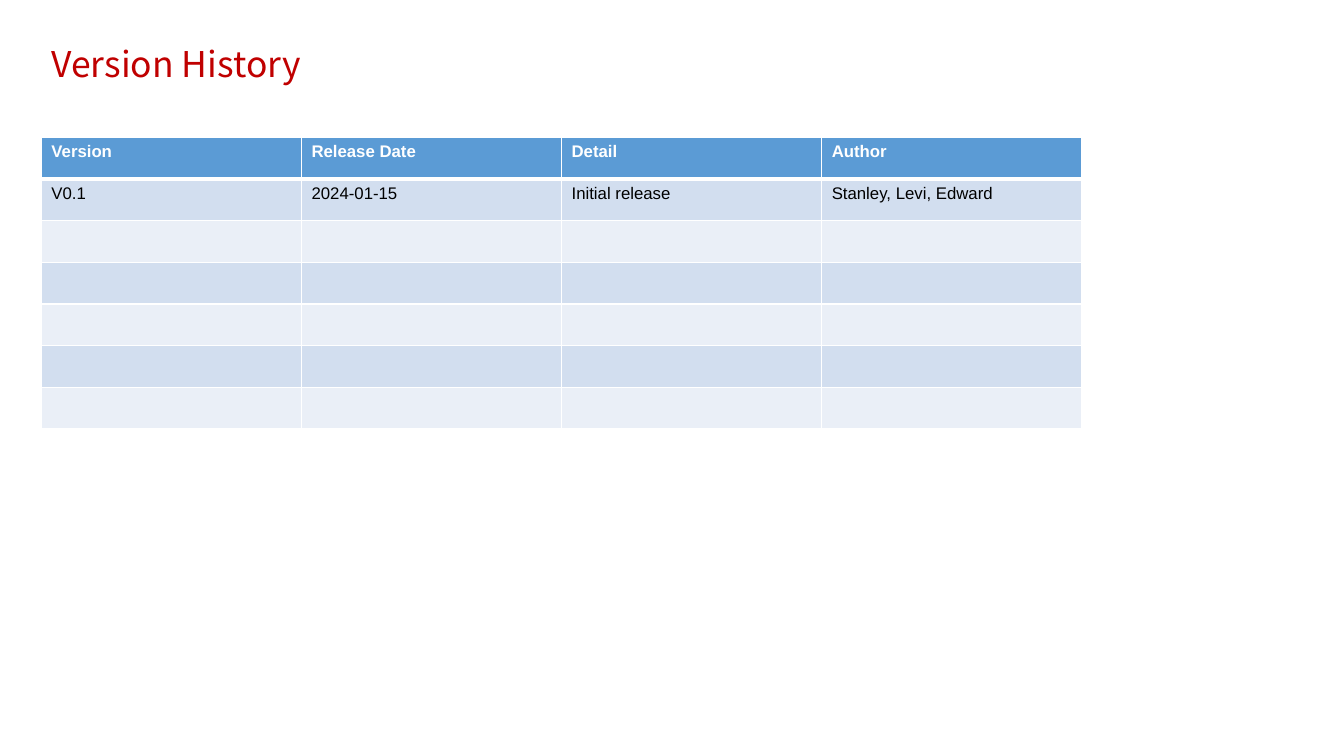
from dataclasses import dataclass

from lxml import etree
from pptx import Presentation
from pptx import util as u
from pptx.dml.color import RGBColor
from pptx.enum import text
from pptx.oxml.ns import qn


@dataclass(frozen=True)
class Theme:
    title_font: str = "Noto Sans CJK KR"
    body_font: str = "Arial"
    title_size: float = 25.3
    body_size: float = 12
    title: str = "C00000"
    ink: str = "000000"
    white: str = "FFFFFF"
    header: str = "5B9BD5"
    bands: tuple = ("D2DEEF", "EAEFF7")
    rule: float = 1
    header_rule: float = 3


THEME = Theme()
LEFT = 0.41
TABLE_TOP = 1.36
COLUMN_WIDTH = 2.58
ROW_HEIGHT = 0.414
ROW_COUNT = 7
HISTORY = [
    ["Version", "Release Date", "Detail", "Author"],
    ["V0.1", "2024-01-15", "Initial release", "Stanley, Levi, Edward"],
]


def write(frame, words, *, font, size, color, bold=False):
    para = frame.paragraphs[0]
    para.alignment = text.PP_ALIGN.LEFT
    span = para.add_run()
    span.text = words
    span.font.name = font
    span.font.size = u.Pt(size)
    span.font.bold = bold
    span.font.color.rgb = RGBColor.from_string(color)


def add_title(page, words):
    box = page.shapes.title
    box.left, box.top, box.width, box.height = map(u.Inches, (LEFT, 0.35, 10.23, 0.55))
    frame = box.text_frame
    frame.word_wrap = True
    frame.auto_size = text.MSO_AUTO_SIZE.NONE
    frame.vertical_anchor = text.MSO_ANCHOR.MIDDLE
    write(frame, words, font=THEME.title_font, size=THEME.title_size, color=THEME.title)


def set_borders(cell, **widths):
    properties = cell._tc.get_or_add_tcPr()
    for side, points in widths.items():
        line = etree.SubElement(properties, qn(f"a:ln{side}"), w=str(u.Pt(points)))
        fill = etree.SubElement(line, qn("a:solidFill"))
        etree.SubElement(fill, qn("a:srgbClr"), val=THEME.white)


def style_cell(cell, row):
    top = THEME.header_rule if row == 1 else THEME.rule
    bottom = THEME.header_rule if row == 0 else THEME.rule
    set_borders(cell, L=THEME.rule, R=THEME.rule, T=top, B=bottom)
    color = THEME.bands[(row - 1) % 2] if row else THEME.header
    cell.fill.solid()
    cell.fill.fore_color.rgb = RGBColor.from_string(color)


def add_history(page, records):
    columns = len(records[0])
    table = page.shapes.add_table(
        ROW_COUNT, columns, u.Inches(LEFT), u.Inches(TABLE_TOP),
        u.Inches(COLUMN_WIDTH * columns), u.Inches(ROW_HEIGHT * ROW_COUNT),
    ).table
    for row in range(ROW_COUNT):
        for column in range(columns):
            style_cell(table.cell(row, column), row)
    for row, record in enumerate(records):
        for column, words in enumerate(record):
            write(table.cell(row, column).text_frame, words,
                  font=THEME.body_font, size=THEME.body_size,
                  color=THEME.ink if row else THEME.white, bold=row == 0)


def main():
    deck = Presentation()
    deck.slide_width = u.Inches(13.33)
    deck.slide_height = u.Inches(7.5)
    page = deck.slides.add_slide(deck.slide_layouts.get_by_name("Title Only"))
    add_title(page, "Version History")
    add_history(page, HISTORY)
    deck.save("out.pptx")


if __name__ == "__main__":
    main()
